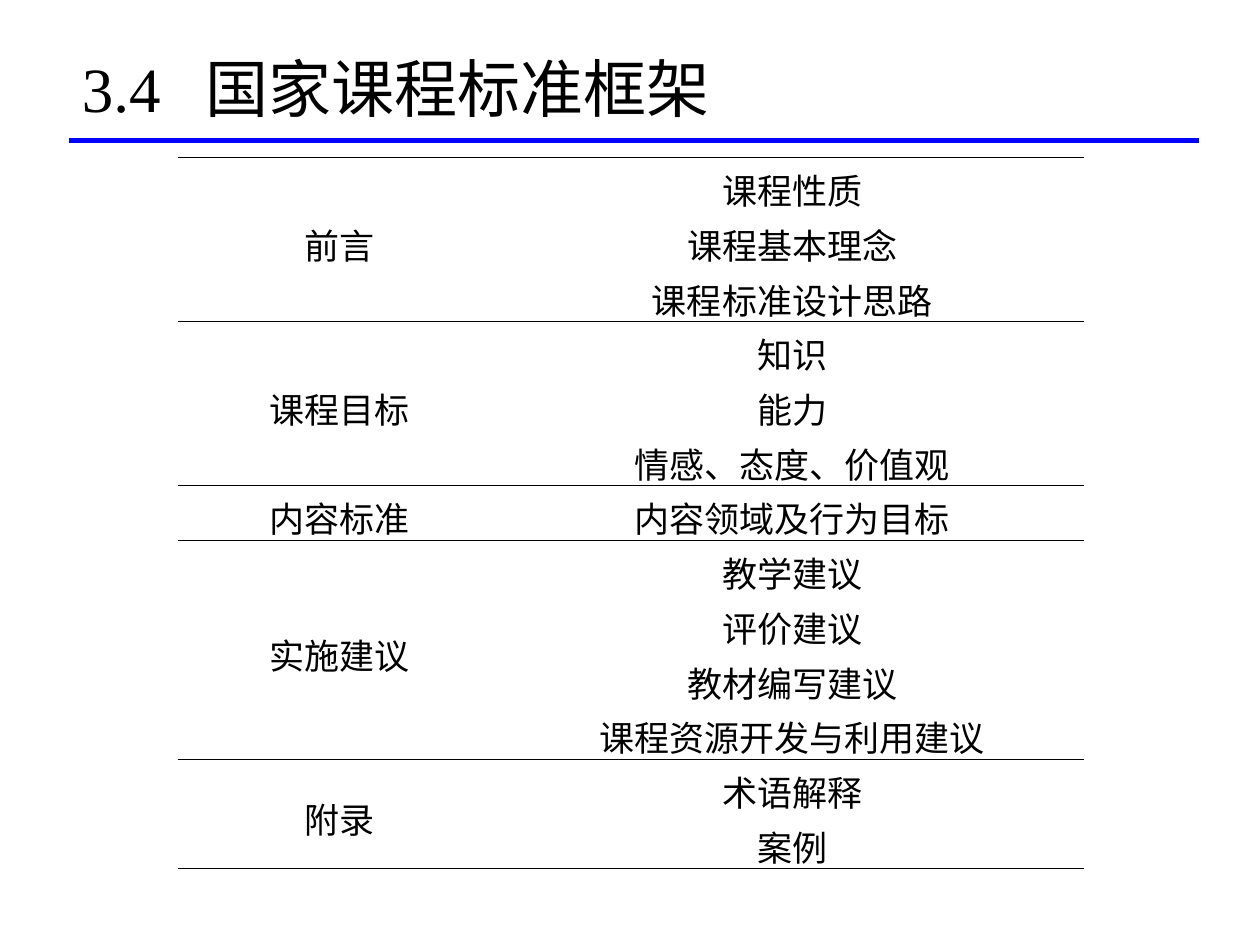
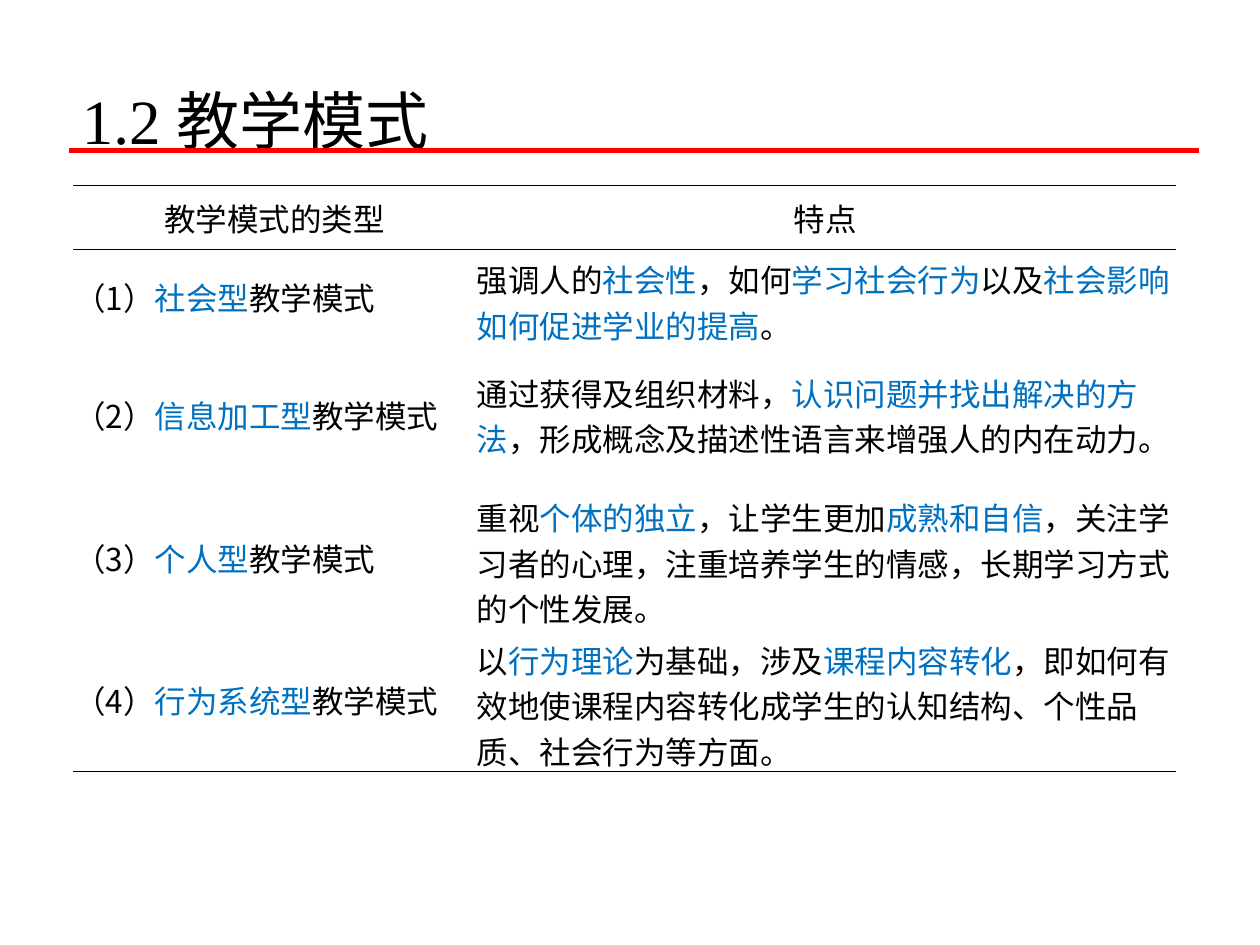
from collections import namedtuple

from lxml.etree import SubElement as add_element
from pptx import Presentation
from pptx.dml.color import RGBColor
from pptx.enum.shapes import MSO_CONNECTOR as Connector
from pptx.enum.text import MSO_ANCHOR as Anchor, MSO_AUTO_SIZE as AutoSize, PP_ALIGN as Align
from pptx.oxml.ns import qn
from pptx.util import Inches, Pt

# Shared look
BLACK = RGBColor(0x00, 0x00, 0x00)
BLUE = RGBColor(0x00, 0x00, 0xFF)
RED = RGBColor(0xFF, 0x00, 0x00)
HIGHLIGHT = RGBColor(0x00, 0x70, 0xC0)
TITLE_FONT, BODY_FONT = "Times New Roman", "Noto Sans CJK SC"
TITLE_SIZE, RULE_WIDTH = 36, 3
PLAIN_TABLE = "{2D5ABB26-0587-4C30-8999-92F81FD0307C}"

# Cell padding in inches; the tight one keeps full rows from growing
PADDING, TIGHT = 0.05, -0.03

# Slide size in inches; boxes are given as shares of it
WIDTH, HEIGHT = 10, 7.5
MARGIN, SPAN = 0.055, 0.897
TITLE_ONLY = 5

Box = namedtuple("Box", "left top width height")

FRAMEWORK = {
    "前言": ["课程性质", "课程基本理念", "课程标准设计思路"],
    "课程目标": ["知识", "能力", "情感、态度、价值观"],
    "内容标准": ["内容领域及行为目标"],
    "实施建议": ["教学建议", "评价建议", "教材编写建议", "课程资源开发与利用建议"],
    "附录": ["术语解释", "案例"],
}

# Every second part between bars is highlighted
MODEL_HEADER = ("教学模式的类型", "特点")
MODELS = [
    ("社会型", "强调人的|社会性|，如何|学习社会行为|以及|社会影响如何促进学业的提高|。"),
    ("信息加工型", "通过获得及组织材料，|认识问题并找出解决的方法|，"
               "形成概念及描述性语言来增强人的内在动力。"),
    ("个人型", "重视|个体的独立|，让学生更加|成熟和自信|，"
             "关注学习者的心理，注重培养学生的情感，长期学习方式的个性发展。"),
    ("行为系统型", "以|行为理论|为基础，涉及|课程内容转化|，"
               "即如何有效地使课程内容转化成学生的认知结构、个性品质、社会行为等方面。"),
]
FULL_TRAIT_ROWS = (1, 3, 4)


def place(box):
    """Turn shares of the slide into lengths."""
    return [Inches(share * side) for share, side in zip(box, (WIDTH, HEIGHT) * 2)]


def style_span(span, font, size, color=BLACK):
    span.font.size = Pt(size)
    span.font.color.rgb = color
    span.font.name = font
    add_element(span._r.get_or_add_rPr(), qn("a:ea"), typeface=BODY_FONT)


def add_title(page, text, box, spacing=1.0, tab=None):
    title = page.shapes.title
    title.left, title.top, title.width, title.height = place(box)
    frame = title.text_frame
    frame.auto_size = AutoSize.NONE
    frame.vertical_anchor = Anchor.TOP
    para = frame.paragraphs[0]
    para.text = text
    para.alignment = Align.LEFT
    para.line_spacing = spacing
    if tab:
        stops = add_element(para._p.get_or_add_pPr(), qn("a:tabLst"))
        add_element(stops, qn("a:tab"), pos=str(Inches(tab)), algn="l")
    for span in para.runs:
        style_span(span, TITLE_FONT, TITLE_SIZE)


def add_rule(page, top, color):
    left, y, width, _ = place(Box(MARGIN, top, SPAN, 0))
    rule = page.shapes.add_connector(Connector.STRAIGHT, left, y, left + width, y)
    rule.line.color.rgb = color
    rule.line.width = Pt(RULE_WIDTH)
    add_element(rule._element.spPr, qn("a:effectLst"))


def add_plain_table(page, box, column_shares, row_shares):
    left, top, width, height = place(box)
    table = page.shapes.add_table(len(row_shares), len(column_shares),
                                  left, top, width, height).table
    table.first_row = table.horz_banding = False
    table._tbl.tblPr.find(qn("a:tableStyleId")).text = PLAIN_TABLE
    for column, share in zip(table.columns, column_shares):
        column.width = int(width * share)
    for row, share in zip(table.rows, row_shares):
        row.height = int(height * share)
    return table


def fill_cell(cell, text, size, align, bottom=PADDING):
    cell.margin_left = cell.margin_right = Inches(0.01)
    cell.margin_top, cell.margin_bottom = Inches(PADDING), Inches(bottom)
    cell.vertical_anchor = Anchor.MIDDLE
    para = cell.text_frame.paragraphs[0]
    para.alignment = align
    para._p.get_or_add_pPr().set("hangingPunct", "0")
    for index, part in enumerate(text.split("|")):
        span = para.add_run()
        span.text = part
        style_span(span, BODY_FONT, size, HIGHLIGHT if index % 2 else BLACK)


def add_borders(cell, sides, width):
    """Draw the given top (T) and bottom (B) lines, and switch off the others."""
    for side in "LRTB":
        line = add_element(cell._tc.get_or_add_tcPr(), qn(f"a:ln{side}"), w=str(Pt(width)))
        if side in sides:
            fill = add_element(line, qn("a:solidFill"))
            add_element(fill, qn("a:srgbClr"), val=str(BLACK))
        else:
            add_element(line, qn("a:noFill"))


def add_framework_table(page, box):
    """One merged label for each group of topics, lines between groups."""
    row_count = sum(map(len, FRAMEWORK.values()))
    table = add_plain_table(page, box, (0.357, 0.643), [1 / row_count] * row_count)
    first = 0
    for label, topics in FRAMEWORK.items():
        last = first + len(topics) - 1
        if last > first:
            table.cell(first, 0).merge(table.cell(last, 0))
        fill_cell(table.cell(first, 0), label, 20, Align.CENTER, TIGHT)
        for row, topic in enumerate(topics, first):
            fill_cell(table.cell(row, 1), topic, 20, Align.CENTER, TIGHT)
            sides = "T" * (row == first) + "B" * (row == last)
            # The merged label carries both lines of its group
            add_borders(table.cell(row, 0), "TB" if row == first else sides, 0.23)
            add_borders(table.cell(row, 1), sides, 0.23)
        first = last + 1


def add_model_table(page, box):
    """Header row between two lines, then one row for each model."""
    row_inches = [0.51, 0.75] + [1.13] * 3
    table = add_plain_table(page, box, (0.365, 0.635),
                            [height / sum(row_inches) for height in row_inches])
    rows = [MODEL_HEADER] + [(f"（{number}）|{kind}|教学模式", trait)
                             for number, (kind, trait) in enumerate(MODELS, 1)]
    borders = {0: "TB", 1: "T", len(MODELS): "B"}
    for row, texts in enumerate(rows):
        for column, text in enumerate(texts):
            cell = table.cell(row, column)
            bottom = TIGHT if column and row in FULL_TRAIT_ROWS else PADDING
            fill_cell(cell, text, 18, Align.LEFT if row else Align.CENTER, bottom)
            add_borders(cell, borders.get(row, ""), 0.45)


def build_framework_page(page):
    add_title(page, "3.4\t国家课程标准框架", Box(MARGIN, 0.046, SPAN, 0.093), tab=0.98)
    add_rule(page, 0.149, BLUE)
    add_framework_table(page, Box(0.141, 0.166, 0.719, 0.753))


def build_model_page(page):
    add_title(page, "1.2 教学模式", Box(MARGIN, 0.056, SPAN, 0.117), spacing=1.3)
    add_rule(page, 0.159, RED)
    add_model_table(page, Box(0.058, 0.196, 0.875, 0.62))


def main():
    deck = Presentation()
    deck.slide_width, deck.slide_height = Inches(WIDTH), Inches(HEIGHT)
    for build_page in (build_framework_page, build_model_page):
        build_page(deck.slides.add_slide(deck.slide_layouts[TITLE_ONLY]))
    deck.save("out.pptx")


if __name__ == "__main__":
    main()
